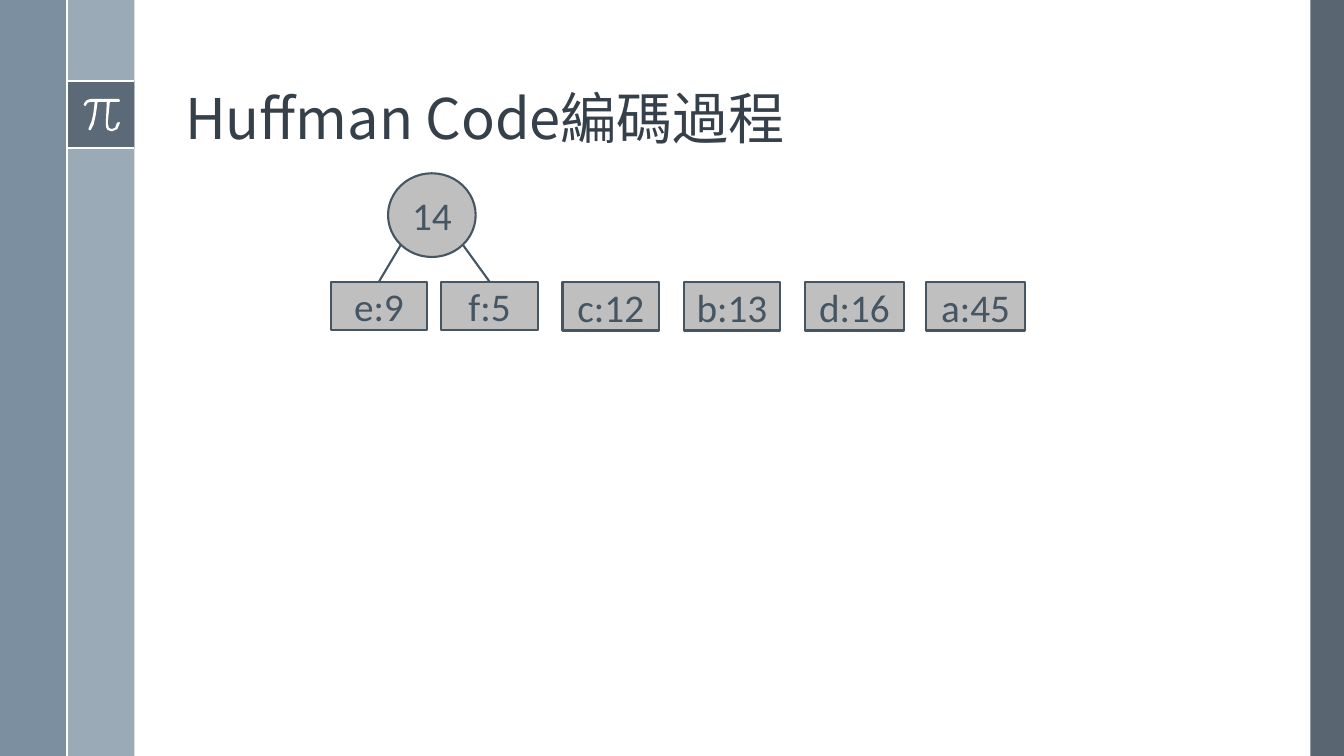
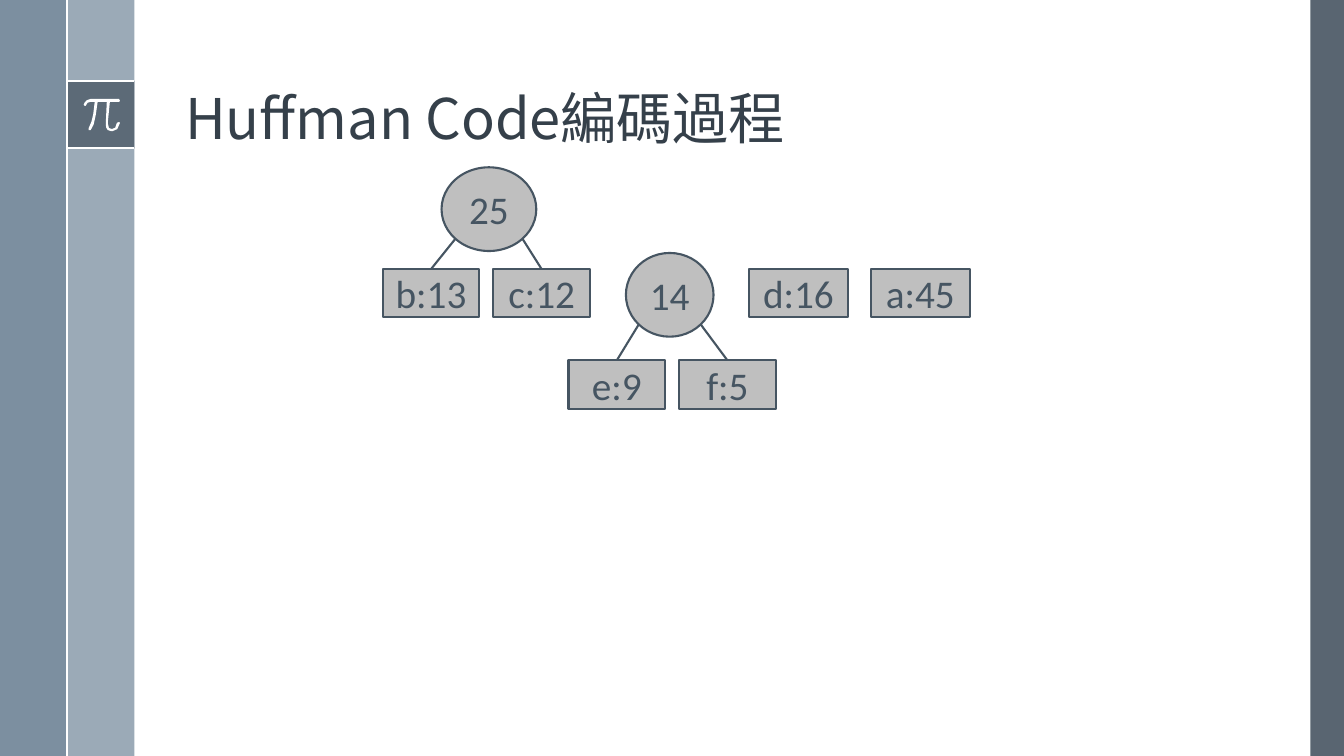
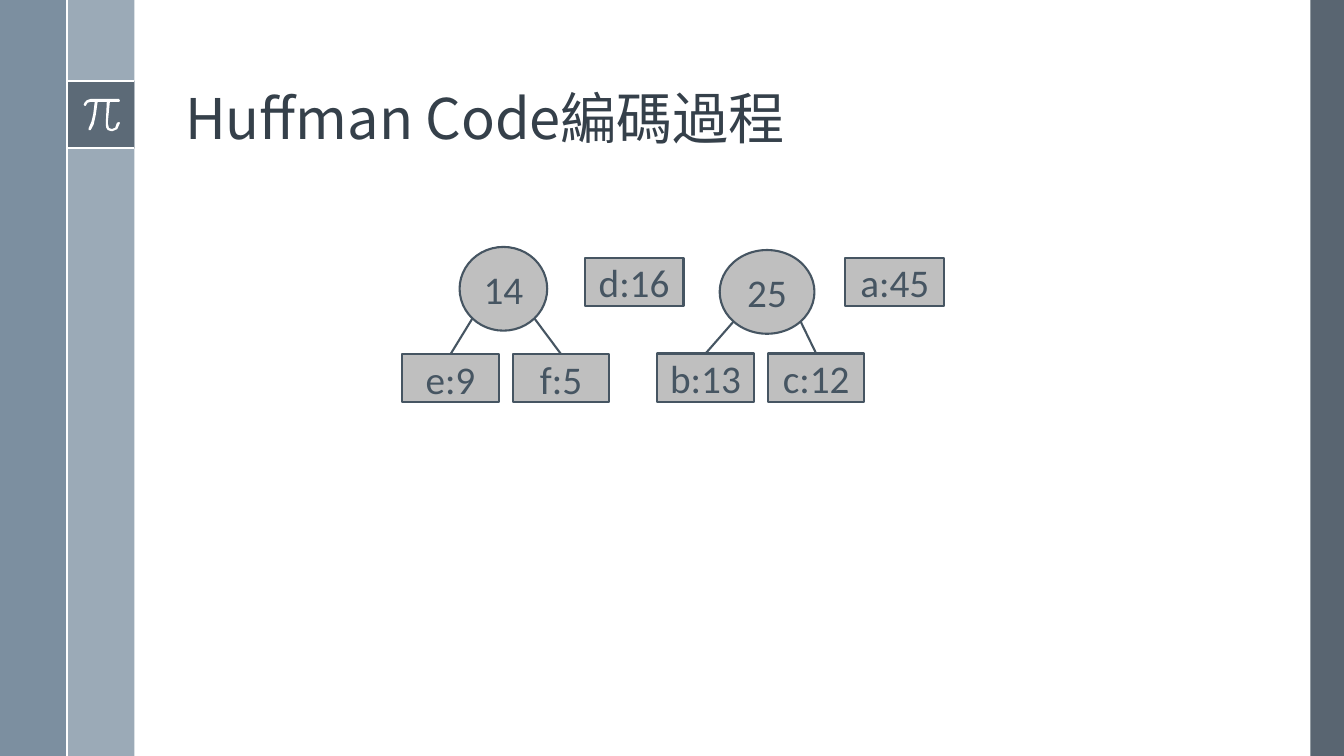
import math

import pptx
import pptx.dml.color
import pptx.enum.shapes
import pptx.enum.text
import pptx.oxml
import pptx.oxml.ns
import pptx.util

Pt = pptx.util.Pt
RGB = pptx.dml.color.RGBColor
SHAPE = pptx.enum.shapes.MSO_SHAPE
qn = pptx.oxml.ns.qn

WHITE = RGB(0xFF, 0xFF, 0xFF)
SLATE = RGB(0x47, 0x55, 0x62)
STEEL = RGB(0x6A, 0x80, 0x93)
MIST = RGB(0x9B, 0xAA, 0xB7)
GREY = RGB(0xBF, 0xBF, 0xBF)
INK = RGB(0x46, 0x55, 0x62)
TITLE = RGB(0x35, 0x40, 0x4A)

WIDTH, HEIGHT = 960, 540
BAND = 48
LEAF_W, LEAF_H, LEAF_STEP = 69, 34.5, 79
ROOT_H = 59.8
PI_OUTLINE = [
    (85, 70.6), (64.8, 70.6), (62, 71.6), (60.4, 73.4), (59.8, 74.9),
    (60.5, 75.6), (61.2, 75.6), (62.6, 73.4), (64.8, 72.7), (67.7, 72.7),
    (66.6, 81.8), (65.3, 87), (63.4, 91.4), (63.4, 92.9), (64.8, 92.9),
    (66.9, 89), (68.4, 82.3), (69.8, 72.7), (76.3, 72.7), (75.6, 87.8),
    (75.8, 91), (77, 92.9), (79.2, 93.6), (80.6, 93.6), (83.8, 92.2),
    (85.7, 87.8), (85, 87.1), (83.5, 87.8), (82.3, 91.2), (79.9, 92.2),
    (77.8, 91.4), (77, 87.8), (78.5, 72.7), (85, 72.7), (85.7, 72),
]


class Deck:
    """Holds the shared style and the slide being drawn."""

    def __init__(self):
        self.prs = pptx.Presentation()
        self.prs.slide_width, self.prs.slide_height = Pt(WIDTH), Pt(HEIGHT)
        self.layout = self.prs.slide_layouts[5]
        self.s = None

    def slide(self, title):
        first = self.s is None
        self.s = self.prs.slides.add_slide(self.layout)
        if first:
            self.decorate_layout()
        self.title(title)

    def decorate_layout(self):
        self.band(WIDTH - 24, 0, 24, HEIGHT, SLATE, 90)
        self.band(BAND, 0, BAND, HEIGHT, MIST)
        self.band(0, 0, BAND, HEIGHT, STEEL, 88)
        self.band(BAND, 58, BAND, BAND, SLATE, 75)
        for y in (58, 106):
            self.line(BAND, y, 2 * BAND, y, WHITE)
        self.pi_sign()
        self.line(BAND, 0, BAND, HEIGHT, WHITE)
        tree = self.layout.shapes._spTree
        for sp in list(self.s.shapes):
            if not sp.is_placeholder:
                tree.append(sp._element)

    def title(self, text):
        sp = self.s.shapes.title
        sp.left, sp.top, sp.width, sp.height = Pt(125), Pt(13.7), Pt(770), Pt(98)
        tf = sp.text_frame
        tf.auto_size = pptx.enum.text.MSO_AUTO_SIZE.NONE
        tf.vertical_anchor = pptx.enum.text.MSO_ANCHOR.BOTTOM
        p = tf.paragraphs[0]
        p.alignment = pptx.enum.text.PP_ALIGN.LEFT
        p.line_spacing = 0.9
        r = self.run(p, text, 40, "Noto Sans CJK TC", TITLE)
        ea = pptx.oxml.parse_xml(
            '<a:ea %s typeface="Noto Sans CJK TC"/>' % pptx.oxml.ns.nsdecls("a"))
        r.font._element.find(qn("a:latin")).addnext(ea)

    def run(self, p, text, size, font, color):
        r = p.add_run()
        r.text = text
        r.font.size, r.font.name = Pt(size), font
        r.font.color.rgb = color
        return r

    def fill(self, sp, color):
        sp.shadow.inherit = False
        sp.fill.solid()
        sp.fill.fore_color.rgb = color
        sp.line.fill.background()

    def band(self, x, y, w, h, color, opacity=100):
        sp = self.s.shapes.add_shape(SHAPE.RECTANGLE, Pt(x), Pt(y), Pt(w), Pt(h))
        self.fill(sp, color)
        if opacity < 100:
            clr = sp._element.spPr.find(qn("a:solidFill")).find(qn("a:srgbClr"))
            clr.append(pptx.oxml.parse_xml(
                '<a:alpha %s val="%d"/>' % (pptx.oxml.ns.nsdecls("a"), opacity * 1000)))

    def pi_sign(self):
        pts = [(Pt(x), Pt(y)) for x, y in PI_OUTLINE]
        fb = self.s.shapes.build_freeform(*pts[0])
        fb.add_line_segments(pts[1:], close=True)
        self.fill(fb.convert_to_shape(), WHITE)

    def line(self, x1, y1, x2, y2, color=INK):
        c = self.s.shapes.add_connector(
            pptx.enum.shapes.MSO_CONNECTOR.STRAIGHT, Pt(x1), Pt(y1), Pt(x2), Pt(y2))
        c.line.color.rgb, c.line.width = color, Pt(1.5)
        c._element.spPr.append(pptx.oxml.parse_xml(
            "<a:effectLst %s/>" % pptx.oxml.ns.nsdecls("a")))
        return c

    def node(self, kind, text, x, y, w, h):
        sp = self.s.shapes.add_shape(kind, Pt(x), Pt(y), Pt(w), Pt(h))
        self.fill(sp, GREY)
        sp.line.color.rgb, sp.line.width = INK, Pt(1.5)
        tf = sp.text_frame
        tf.vertical_anchor = pptx.enum.text.MSO_ANCHOR.MIDDLE
        p = tf.paragraphs[0]
        p.alignment = pptx.enum.text.PP_ALIGN.CENTER
        self.run(p, text, 28, "Calibri", INK)
        return sp

    def leaves(self, labels, x, y, step, w=LEAF_W):
        return [self.node(SHAPE.RECTANGLE, label, x + i * step, y, w, LEAF_H)
                for i, label in enumerate(labels)]

    def tree(self, total, labels, x, y, w, leaf_x, leaf_y):
        pair = self.leaves(labels, leaf_x, leaf_y, LEAF_STEP)
        self.node(SHAPE.OVAL, total, x, y, w, ROOT_H)
        diagonal = math.sqrt(0.5) / 2
        for side, leaf in zip((-1, 1), pair):
            c = self.line(leaf_x, leaf_y, x + w * (0.5 + side * diagonal),
                          y + ROOT_H * (0.5 + diagonal))
            c.begin_connect(leaf, 0)

    def tree_14(self, x, y, leaf_y):
        self.tree("14", ("e:9", "f:5"), x, y, 62.6, x - 41, leaf_y)

    def tree_25(self, x, y, leaf_x, leaf_y):
        self.tree("25", ("b:13", "c:12"), x, y, 67.7, leaf_x, leaf_y)


def main():
    heading = "Huffman Code編碼過程"
    deck = Deck()

    deck.slide(heading)
    deck.leaves(("c:12", "b:13"), 401.8, 201.6, 86.5)
    deck.leaves(("d:16", "a:45"), 575, 201.6, 86.5, 70.6)
    deck.tree_14(277.2, 123.8, 201.2)

    deck.slide(heading)
    deck.leaves(("d:16", "a:45"), 535, 192.2, 87, 70.6)
    deck.tree_14(447.1, 180.7, 257.4)
    deck.tree_25(315.4, 119.5, 273.4, 192.2)

    deck.slide(heading)
    deck.leaves(("d:16", "a:45"), 417.6, 184.3, 186.3, 70.6)
    deck.tree_14(328.3, 176.4, 253)
    deck.tree_25(514.1, 178.6, 469.5, 252.5)

    deck.prs.save("out.pptx")


if __name__ == "__main__":
    main()
